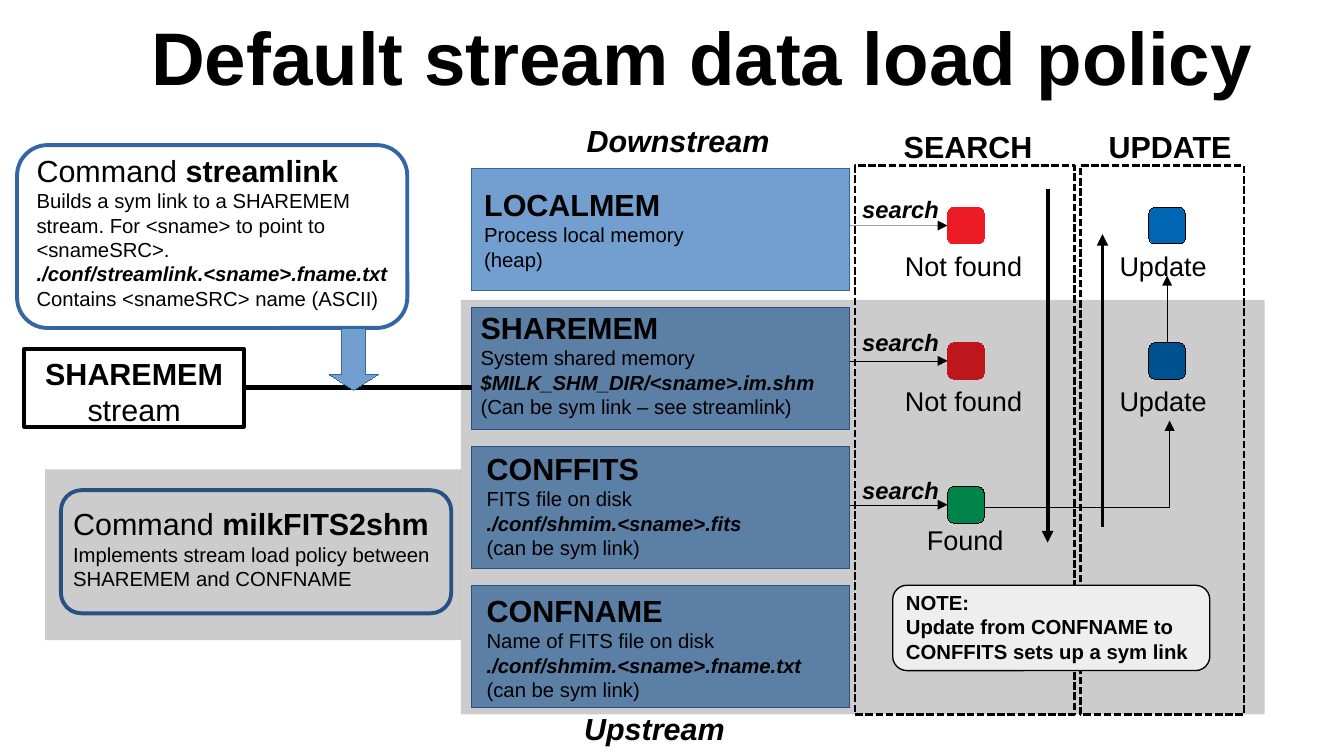
import pptx
import pptx.util
import pptx.dml.color
import pptx.enum.dml
import pptx.enum.shapes
import pptx.enum.text
import pptx.oxml
import pptx.oxml.ns

W, H = 11.02, 6.2
INK, EDGE, BLUE, RED = "000000", "3465A4", "729FCF", "ED1C24"
HAIR = 0.01

# Content: a line is a list of (text, size, style) runs
TITLE = [[("Default stream data load policy", 44, "b")]]
# Layers: text left, top, width, height, lines
LAYERS = [
    (3.97, 1.55, 1.65, 0.65, [[("LOCALMEM", 18, "b")],
                              [("Process local memory (heap)", 12, "")]]),
    (3.94, 2.47, 2.95, 1.03, [[("SHAREMEM", 18, "b")],
                              [("System shared memory", 12, "")],
                              [("$MILK_SHM_DIR/<sname>.im.shm", 12, "bi")],
                              [("(Can be sym link – see streamlink)", 12, "")]]),
    (3.99, 3.66, 2.3, 0.96, [[("CONFFITS", 18, "b")],
                             [("FITS file on disk", 12, "")],
                             [("./conf/shmim.<sname>.fits", 12, "bi")],
                             [("(can be sym link)", 12, "")]]),
    (3.99, 4.79, 2.8, 1.03, [[("CONFNAME", 18, "b")],
                             [("Name of FITS file on disk", 12, "")],
                             [("./conf/shmim.<sname>.fname.txt", 12, "bi")],
                             [("(can be sym link)", 12, "")]]),
]
LINK = [[("Command", 18, ""), (" streamlink", 18, "b")],
        [("Builds a sym link to a SHAREMEM stream. "
          "For <sname> to point to <snameSRC>.", 12, "")],
        [("./conf/streamlink.<sname>.fname.txt", 12, "bi")],
        [("Contains <snameSRC> name (ASCII)", 12, "")]]
LOAD = [[("Command ", 18, ""), ("milkFITS2shm", 18, "b")],
        [("Implements stream load policy between SHAREMEM and CONFNAME", 12, "")]]
STREAM = [[("SHAREMEM", 18, "b")], [("stream", 18, "")]]
NOTE = [[("NOTE:", 12, "b")],
        [("Update from CONFNAME to CONFFITS sets up a sym link", 12, "b")]]
# Labels: text, size, style, left, top, width, height
LABELS = [
    ("Downstream", 18, "bi", 4.78, 0.95, 1.9, 0.38),
    ("Upstream", 18, "bi", 4.76, 5.77, 1.6, 0.38),
    ("SEARCH", 18, "b", 7.38, 1, 1.45, 0.38),
    ("UPDATE", 18, "b", 9.06, 1, 1.4, 0.38),
]
# Search steps: square top, search top, result top, left, width, result, fill, line
STEPS = [
    (1.7, 1.55, 2, 7.42, 1.25, "Not found", RED, RED),
    (2.81, 2.64, 3.1, 7.42, 1.25, "Not found", RED, RED),
    (3.99, 3.85, 4.24, 7.6, 0.9, "Found", "00A65D", INK),
]

# Grid
LEFT, WIDE, TALL, TOP, STEP = 3.87, 3.1, 1, 1.38, 1.14
SIDE, SEEK, RENEW = 0.3, 7.77, 9.42

deck = pptx.Presentation()
deck.slide_width = pptx.util.Inches(W)
deck.slide_height = pptx.util.Inches(H)
slide = deck.slides.add_slide(deck.slide_layouts[6])
inch = pptx.util.Inches
KIND = pptx.enum.shapes.MSO_SHAPE


def tint(code):
    return pptx.dml.color.RGBColor.from_string(code)


def text(lines, x, y, w, h, mid=False, pad=(0.1, 0.05), align="LEFT"):
    frame = slide.shapes.add_textbox(inch(x), inch(y), inch(w), inch(h)).text_frame
    frame.word_wrap = True
    frame.vertical_anchor = getattr(pptx.enum.text.MSO_ANCHOR, "MIDDLE" if mid else "TOP")
    across, down = (0, 0) if mid else pad
    frame.margin_left = frame.margin_right = inch(across)
    frame.margin_top = frame.margin_bottom = inch(down)
    for num, line in enumerate(lines):
        para = frame.add_paragraph() if num else frame.paragraphs[0]
        para.alignment = getattr(pptx.enum.text.PP_ALIGN, align)
        for words, size, style in line:
            run = para.add_run()
            run.text = words
            font = run.font
            font.name, font.size = "Arial", pptx.util.Pt(size)
            font.bold, font.italic = "b" in style, "i" in style
            font.color.rgb = tint(INK)


def label(words, size, style, x, y, w, h):
    text([[(words, size, style)]], x, y, w, h, pad=(0.03, 0.05))


def paint(item, fill=None, line=None, width=HAIR, dash=False, alpha=None):
    item.shadow.inherit = False
    if fill:
        item.fill.solid()
        item.fill.fore_color.rgb = tint(fill)
    else:
        item.fill.background()
    if alpha:
        code = item.fill._xPr.find(".//" + pptx.oxml.ns.qn("a:srgbClr"))
        code.append(pptx.oxml.parse_xml(
            f'<a:alpha {pptx.oxml.ns.nsdecls("a")} val="{alpha * 1000}"/>'))
    if line:
        item.line.color.rgb = tint(line)
        item.line.width = pptx.util.Pt(width)
    else:
        item.line.fill.background()
    if dash:
        item.line.dash_style = pptx.enum.dml.MSO_LINE.SQUARE_DOT
    return item


def shape(kind, x, y, w, h, **look):
    return paint(slide.shapes.add_shape(kind, inch(x), inch(y), inch(w), inch(h)), **look)


def tip(item):
    item.line._get_or_add_ln().append(pptx.oxml.parse_xml(
        f'<a:tailEnd {pptx.oxml.ns.nsdecls("a")} type="triangle"/>'))


def wire(x1, y1, x2, y2, width=HAIR, head=True):
    item = slide.shapes.add_connector(
        pptx.enum.shapes.MSO_CONNECTOR.STRAIGHT, inch(x1), inch(y1), inch(x2), inch(y2))
    item.line.color.rgb = tint(INK)
    item.line.width = pptx.util.Pt(width)
    if head:
        tip(item)
    item._element.spPr.append(pptx.oxml.parse_xml(
        f'<a:effectLst {pptx.oxml.ns.nsdecls("a")}/>'))
    return item


# Title and layers
text(TITLE, 0.8, 0.06, 9.92, 0.8, mid=True, align="CENTER")
text(LINK, 0.3, 1.29, 3, 1.21, mid=True)
for row, (x, y, w, h, lines) in enumerate(LAYERS):
    shape(KIND.RECTANGLE, LEFT, TOP + row * STEP, WIDE, TALL, fill=BLUE, line=EDGE)
    text(lines, x, y, w, h, mid=True)
for item in LABELS:
    label(*item)

# Search column
for top, seek, low, x, w, words, fill, line in STEPS:
    label(words, 16, "", x - 0.03, low, w, 0.35)
    box = shape(KIND.ROUNDED_RECTANGLE, SEEK, top, SIDE, SIDE, fill=fill, line=line)
    label("search", 14, "bi", 7.04, seek, 0.83, 0.32)
    mid = top + SIDE / 2
    wire(LEFT + WIDE, mid, SEEK, mid).end_connect(box, 1)
shape(KIND.RECTANGLE, 7.01, 1.36, 1.8, 4.5, line=INK, width=1.5, dash=True)
wire(8.59, 1.55, 8.59, 4.45, width=2.3)

# Update column
for top, _, low, *_ in STEPS[:2]:
    label("Update", 16, "", 9.15, low, 1, 0.35)
    box = shape(KIND.ROUNDED_RECTANGLE, RENEW, top, SIDE, SIDE, fill="0066B3", line=INK)
shape(KIND.RECTANGLE, 8.86, 1.36, 1.34, 4.5, line=INK, width=1.5, dash=True)
pen = slide.shapes.build_freeform(inch(SEEK + SIDE), inch(4.16))
pen.add_line_segments([(inch(9.59), inch(4.16)), (inch(9.59), inch(3.45))], close=False)
tip(paint(pen.convert_to_shape(), line=INK, width=0.79))
wire(RENEW + SIDE / 2, 2.81, RENEW + SIDE / 2, 2.26).begin_connect(box, 0)
wire(9.04, 4.32, 9.04, 1.92, width=2.3)

# Commands and the shade over them
text(LOAD, 0.6, 3.75, 3.1, 1.49, mid=True)
for x, y, h in [(0.14, 1.19, 1.5), (0.5, 4.02, 1.01)]:
    shape(KIND.ROUNDED_RECTANGLE, x, y, 3.2, h, line=EDGE, width=2.3)
for x, y, w, h in [(3.78, 2.46, 6.59, 3.4), (0.37, 3.85, 3.41, 1.4)]:
    shape(KIND.RECTANGLE, x, y, w, h, fill=INK, alpha=20)

# Stream link
text(STREAM, 0.2, 2.86, 1.8, 0.74, align="CENTER")
box = shape(KIND.RECTANGLE, 0.2, 2.86, 1.8, 0.64, line=INK, width=2.3)
wire(2, 3.18, LEFT, 3.18, width=3, head=False).begin_connect(box, 3)
arrow = shape(KIND.DOWN_ARROW, 2.7, 2.69, 0.4, 0.51, fill=BLUE, line=EDGE)
arrow.adjustments[1] = 0.32

# Note
shape(KIND.ROUNDED_RECTANGLE, 7.32, 4.8, 2.6, 0.7, fill="EEEEEE", line=INK, width=0.79)
text(NOTE, 7.33, 4.79, 2.59, 0.67)

deck.save("out.pptx")
